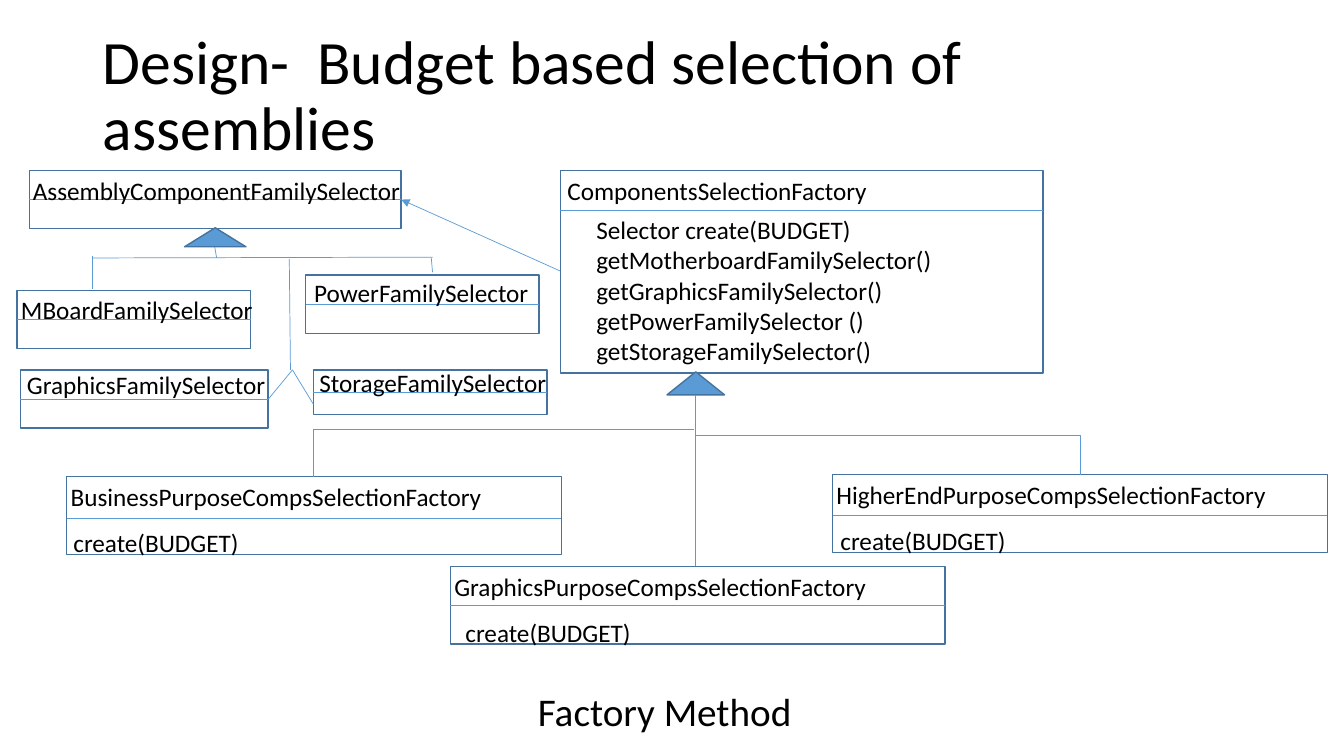
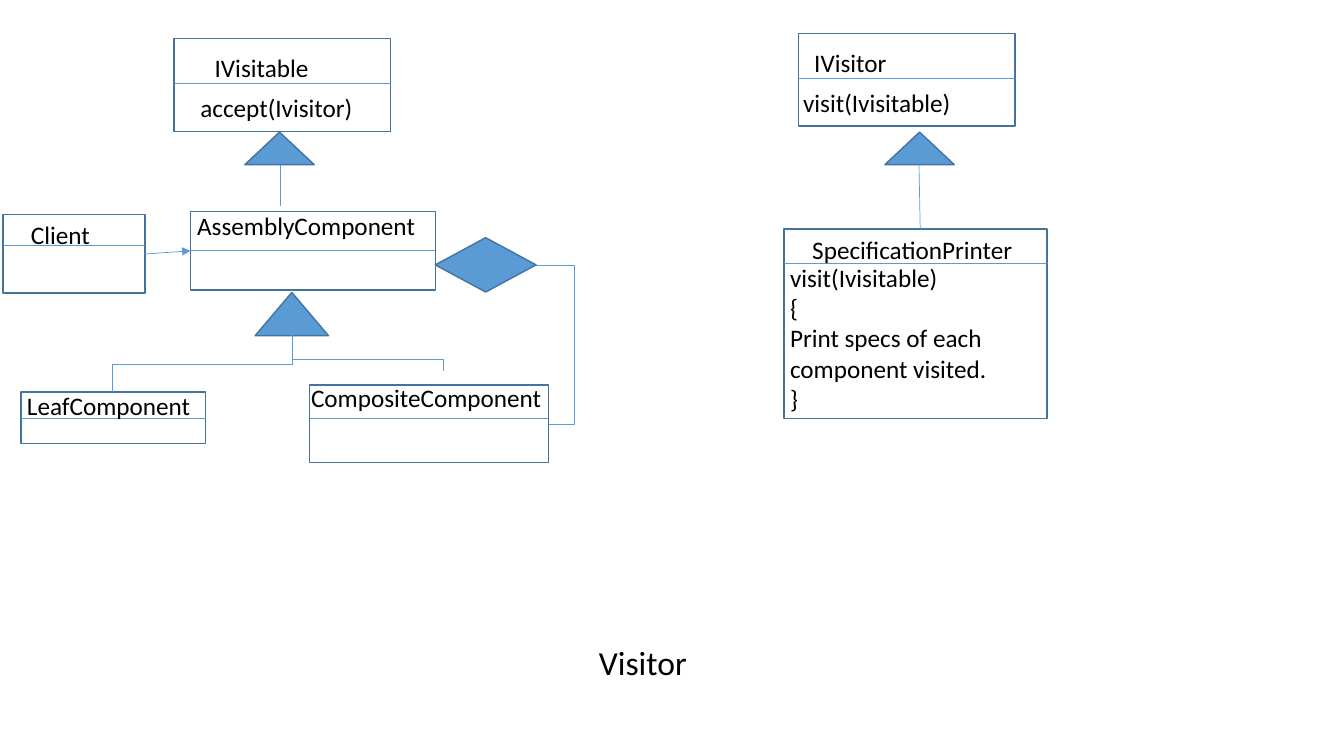
from lxml import etree
from pptx import Presentation
from pptx.dml.color import RGBColor
from pptx.enum.shapes import MSO_CONNECTOR, MSO_SHAPE
from pptx.enum.text import MSO_ANCHOR, MSO_AUTO_SIZE, PP_ALIGN
from pptx.oxml.ns import qn
from pptx.util import Cm, Pt

LEFT, CENTER = PP_ALIGN.LEFT, PP_ALIGN.CENTER
MIDDLE = MSO_ANCHOR.MIDDLE
NO_AUTOFIT, GROW = MSO_AUTO_SIZE.NONE, MSO_AUTO_SIZE.SHAPE_TO_FIT_TEXT
RECTANGLE = MSO_SHAPE.RECTANGLE
TRIANGLE = MSO_SHAPE.ISOSCELES_TRIANGLE
DIAMOND = MSO_SHAPE.DIAMOND
STRAIGHT, ELBOW = MSO_CONNECTOR.STRAIGHT, MSO_CONNECTOR.ELBOW
TITLE_ONLY, BLANK = 5, 6

COLORS = {"text": "000000", "fill": "5B9BD5", "outline": "43739E", "link": "5B9BD5"}
FONT = "Calibri"
LINE_HEIGHT = 0.77
LABEL_PADDING = 0.25

SELECTORS = [
    ((0.74, 4.29, 9.37, 1.47), (0.58, 4.29, 9.83, "AssemblyComponentFamilySelector")),
    ((7.7, 6.93, 5.89, 1.47), (7.67, 6.86, 6.48, "PowerFamilySelector")),
    ((0.51, 9.32, 6.25, 1.47), (0.43, 9.17, 6.78, "GraphicsFamilySelector")),
    ((0.43, 7.32, 5.89, 1.47), (0.28, 7.29, 6.48, "MBoardFamilySelector")),
    ((7.9, 9.32, 5.89, 1.12), (7.8, 9.14, 6.58, "StorageFamilySelector")),
]
FACTORY_METHODS = "\n".join([
    "Selector create(BUDGET)",
    "getMotherboardFamilySelector()",
    "getGraphicsFamilySelector()",
    "getPowerFamilySelector ()",
    "getStorageFamilySelector()",
])
PURPOSE_FACTORIES = [
    (1.68, 12.01, 13.07, 1.6, "BusinessPurposeCompsSelectionFactory"),
    (11.35, 14.27, 15.25, 11.48, "GraphicsPurposeCompsSelectionFactory"),
    (20.98, 11.96, 12.98, 20.93, "HigherEndPurposeCompsSelectionFactory"),
]
FACTORY_LINKS = [
    ((7.29, 6.53), (7.32, 9.32)),
    ((2.34, 6.5), (10.9, 6.48)),
    ((5.41, 6.22), (5.46, 6.5)),
    ((2.34, 6.45), (2.34, 7.29)),
    ((10.87, 6.5), (10.9, 6.86)),
    ((6.76, 10.06), (7.37, 9.32)),
    ((7.37, 9.32), (7.9, 10.19)),
    ((17.53, 10.44), (17.53, 14.27)),
]
PRINTER_METHOD = "visit(Ivisitable)\n{\nPrint specs of each component visited.\n}"
VISITOR_CLASSES = [
    ((4.8, 5.33, 6.17, 1.98), 6.31, [(4.72, 5.18, 6.05, "AssemblyComponent")]),
    ((7.8, 9.7, 6.02, 1.96), 10.54, [(7.59, 9.5, 7.29, "CompositeComponent")]),
    ((0.53, 9.88, 4.65, 1.3), 10.54, [(0.43, 9.7, 4.75, "LeafComponent")]),
    ((0.08, 5.41, 3.58, 1.98), 6.19, [(0.53, 5.41, 2.92, "Client")]),
    ((4.39, 0.97, 5.46, 2.34), 2.1,
     [(5.16, 1.19, 5.08, "IVisitable"), (4.8, 2.21, 4.85, "accept(Ivisitor)")]),
    ((20.12, 0.84, 5.46, 2.34), 1.97,
     [(20.27, 1.07, 5.08, "IVisitor"), (19.99, 2.08, 4.85, "visit(Ivisitable)")]),
    ((19.76, 5.77, 6.63, 4.78), 6.63,
     [(20.22, 5.77, 5.99, "SpecificationPrinter"), (19.66, 6.48, 7.01, PRINTER_METHOD)]),
]


def color(name):
    return RGBColor.from_string(COLORS[name])


def format_text(text_frame, size, align):
    text_frame.word_wrap = True
    for paragraph in text_frame.paragraphs:
        paragraph.alignment = align
        paragraph.font.name = FONT
        paragraph.font.size = Pt(size)
        paragraph.font.color.rgb = color("text")


def set_title(slide, text):
    title = slide.shapes.title
    title.left, title.top, title.width, title.height = Cm(2.34), Cm(1.02), Cm(29.21), Cm(2.87)
    title.text_frame.text = text
    title.text_frame.auto_size = NO_AUTOFIT
    title.text_frame.vertical_anchor = MIDDLE
    title.text_frame.paragraphs[0].line_spacing = 0.9
    format_text(title.text_frame, 44, LEFT)


def add_label(slide, left, top, width, text, align=LEFT, size=18):
    height = LABEL_PADDING + LINE_HEIGHT * size / 18 * len(text.split("\n"))
    label = slide.shapes.add_textbox(Cm(left), Cm(top), Cm(width), Cm(height))
    label.text_frame.text = text
    label.text_frame.auto_size = GROW
    format_text(label.text_frame, size, align)


def add_outlined_shape(slide, kind, left, top, width, height, filled=True):
    shape = slide.shapes.add_shape(kind, Cm(left), Cm(top), Cm(width), Cm(height))
    shape.shadow.inherit = False
    if filled:
        shape.fill.solid()
        shape.fill.fore_color.rgb = color("fill")
    else:
        shape.fill.background()
    shape.line.color.rgb = color("outline")
    shape.line.width = Pt(1)


def add_link(slide, start, end, kind=STRAIGHT, arrow=False):
    link = slide.shapes.add_connector(kind, *(Cm(value) for value in (*start, *end)))
    link.line.color.rgb = color("link")
    link.line.width = Pt(0.5)
    if arrow:
        etree.SubElement(link.line._get_or_add_ln(), qn("a:tailEnd"), type="triangle")
    etree.SubElement(link._element.spPr, qn("a:effectLst"))
    return link


def add_elbow(slide, start, end, bend, vertical=False):
    if vertical:
        center_x, center_y = (start[0] + end[0]) / 2, (start[1] + end[1]) / 2
        half_x, half_y = (end[0] - start[0]) / 2, (end[1] - start[1]) / 2
        start = (center_x - half_y, center_y + half_x)
        end = (center_x + half_y, center_y - half_x)
    properties = add_link(slide, start, end, ELBOW)._element.spPr
    if vertical:
        properties.find(qn("a:xfrm")).set("rot", "5400000")
    adjustments = properties.find(qn("a:prstGeom")).find(qn("a:avLst"))
    etree.SubElement(adjustments, qn("a:gd"), name="adj1", fmla=f"val {round(bend * 100000)}")


def add_class_box(slide, box, divider, labels):
    left, top, width, height = box
    add_outlined_shape(slide, RECTANGLE, left, top, width, height, filled=False)
    add_link(slide, (left, divider), (left + width, divider))
    for label in labels:
        add_label(slide, *label)


def build_factory_slide(presentation):
    slide = presentation.slides.add_slide(presentation.slide_layouts[TITLE_ONLY])
    set_title(slide, "Design-  Budget based selection of assemblies")
    for box, name in SELECTORS:
        add_class_box(slide, box, box[1] + box[3] / 2, [name])
    add_class_box(slide, (14.12, 4.29, 12.17, 5.11), 5.3, [
        (13.59, 4.29, 8.97, "ComponentsSelectionFactory", CENTER),
        (14.78, 5.28, 11, FACTORY_METHODS),
    ])
    for left, top, divider, method_left, name in PURPOSE_FACTORIES:
        add_class_box(slide, (left, top, 12.47, 1.96), divider, [
            (left - 0.15, top, 11.86, name),
            (method_left, top + 1.16, 10.87, "create(BUDGET)"),
        ])
    add_outlined_shape(slide, TRIANGLE, 16.81, 9.37, 1.45, 0.58)
    add_outlined_shape(slide, TRIANGLE, 4.65, 5.74, 1.55, 0.48)
    for start, end in FACTORY_LINKS:
        add_link(slide, start, end)
    add_link(slide, (14.12, 6.83), (10.11, 5.03), arrow=True)
    add_elbow(slide, (17.48, 10.82), (7.9, 12.01), 1)
    add_elbow(slide, (17.53, 9.96), (27.23, 11.96), 0.5, vertical=True)
    add_label(slide, 7.21, 17.2, 19.08, "Factory Method", CENTER, 28)


def build_visitor_slide(presentation):
    slide = presentation.slides.add_slide(presentation.slide_layouts[BLANK])
    for box, divider, labels in VISITOR_CLASSES:
        add_class_box(slide, box, divider, labels)
    add_outlined_shape(slide, TRIANGLE, 6.43, 7.37, 1.85, 1.09)
    for left in (6.17, 22.3):
        add_outlined_shape(slide, TRIANGLE, left, 3.33, 1.75, 0.82)
    add_outlined_shape(slide, DIAMOND, 10.97, 5.99, 2.54, 1.37)
    add_link(slide, (7.06, 4.17), (7.06, 5.18))
    add_link(slide, (23.16, 4.17), (23.19, 5.77))
    add_link(slide, (3.66, 6.4), (4.8, 6.32), arrow=True)
    add_elbow(slide, (7.37, 8.46), (2.84, 9.88), 0.5, vertical=True)
    add_elbow(slide, (7.37, 7.62), (11.18, 9.35), 0.83, vertical=True)
    add_elbow(slide, (13.51, 6.68), (13.84, 10.69), 2.94)
    add_label(slide, 7.92, 16.05, 16.56, "Visitor", CENTER, 24)


def main():
    presentation = Presentation()
    presentation.slide_width, presentation.slide_height = Cm(33.87), Cm(19.05)
    build_factory_slide(presentation)
    build_visitor_slide(presentation)
    presentation.save("out.pptx")


if __name__ == "__main__":
    main()
